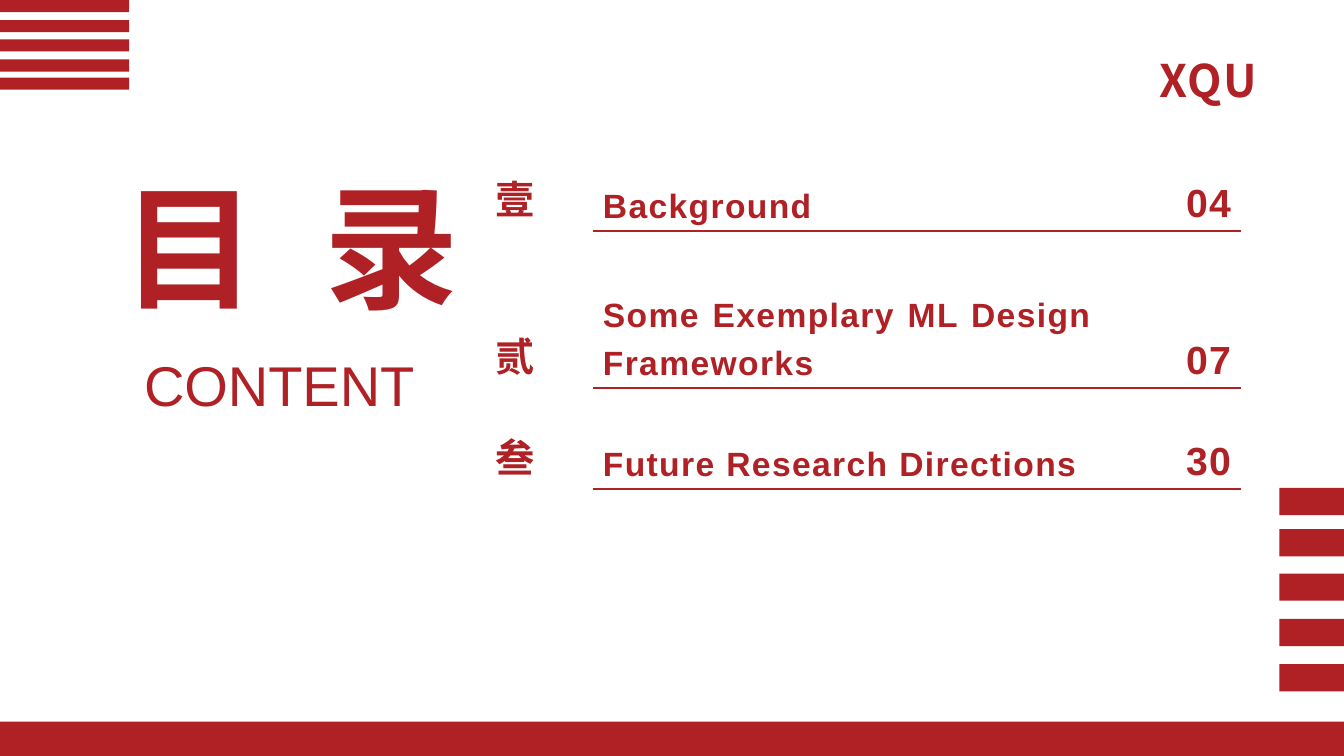
from lxml.etree import SubElement
from pptx import Presentation
from pptx.dml.color import RGBColor
from pptx.enum.shapes import MSO_SHAPE
from pptx.enum.text import MSO_ANCHOR, PP_ALIGN
from pptx.oxml.ns import qn
from pptx.util import Inches, Pt

RED = "AF2125"
PLAIN_TABLE = "{2D5ABB26-0587-4C30-8999-92F81FD0307C}"
ENTRIES = [
    ("壹", "Background", "04", 1),
    ("贰", "Some Exemplary ML Design Frameworks", "07", 1.56),
    ("叁", "Future Research Directions", "30", 1),
]


def color(value):
    return RGBColor.from_string(value)


def write(tf, text, size, bold=True, font="Arial", align=PP_ALIGN.LEFT,
          line_spacing=None, tracking=0):
    p = tf.paragraphs[0]
    p.alignment = align
    if line_spacing:
        p.line_spacing = line_spacing
    p.font.size = Pt(size)
    p.font.bold = bold
    p.font.name = font
    p.font.color.rgb = color(RED)
    r = p.add_run()
    r.text = text
    rPr = r._r.get_or_add_rPr()
    if tracking:
        rPr.set("spc", str(round(tracking * 100)))
    SubElement(rPr, qn("a:ea"), typeface="Noto Sans CJK SC")


def add_text(s, box, text, size, wrap=False, **style):
    tf = s.shapes.add_textbox(*map(Inches, box)).text_frame
    tf.word_wrap = wrap
    write(tf, text, size, **style)
    return tf


def add_bar(s, left, top, width, height):
    sp = s.shapes.add_shape(MSO_SHAPE.RECTANGLE, *map(Inches, (left, top, width, height)))
    sp.shadow.inherit = False
    sp.fill.solid()
    sp.fill.fore_color.rgb = color(RED)
    sp.line.fill.background()


def add_stripes(s, left, top, width, height, offsets):
    for offset in offsets:
        add_bar(s, left, top + offset, width, height)


def add_heading(s, left, top):
    tf = add_text(s, (left, top, 3.69, 1.72), "目 录", 96, tracking=13.3)
    tf.margin_right = 0
    add_text(s, (left + 0.21, top + 1.85, 3.35, 0.77), "CONTENT", 40,
             wrap=True, bold=False, align=PP_ALIGN.JUSTIFY)


def underline(cell):
    ln = SubElement(cell._tc.get_or_add_tcPr(), qn("a:lnB"), w=str(Pt(1.5)))
    fill = SubElement(ln, qn("a:solidFill"))
    SubElement(fill, qn("a:srgbClr"), val=RED)


def add_contents(s, left, top, width, height):
    table = s.shapes.add_table(len(ENTRIES), 3, *map(Inches, (left, top, width, height))).table
    table.first_row = table.horz_banding = False
    table._tbl.tblPr.find(qn("a:tableStyleId")).text = PLAIN_TABLE
    for column, column_width in zip(table.columns, (1.07, 5.05, 1.38)):
        column.width = Inches(column_width)
    styles = [
        dict(size=28, align=PP_ALIGN.JUSTIFY, line_spacing=1.5),
        dict(size=24, align=PP_ALIGN.JUSTIFY, line_spacing=1.3),
        dict(size=28, align=PP_ALIGN.RIGHT),
    ]
    for row, (*texts, row_height) in zip(table.rows, ENTRIES):
        row.height = Inches(row_height)
        for i, (cell, text, style) in enumerate(zip(row.cells, texts, styles)):
            cell.vertical_anchor = MSO_ANCHOR.BOTTOM
            if i:
                underline(cell)
            cell.fill.background()
            write(cell.text_frame, text, tracking=1, **style)


def build_contents_slide(prs):
    s = prs.slides.add_slide(prs.slide_layouts[6])
    add_text(s, (11.4, 0.31, 1.26, 0.73), "XQU", 32, font="Noto Sans CJK SC",
             align=PP_ALIGN.JUSTIFY, line_spacing=1.3, tracking=1)
    add_heading(s, 1.12, 1.58)
    add_contents(s, 4.81, 1.29, 7.49, 3.55)
    add_bar(s, 0, 7.16, 13.33, 0.34)
    add_stripes(s, 0, 0, 1.28, 0.12, (0, 0.2, 0.39, 0.59, 0.77))
    add_stripes(s, 12.69, 4.84, 0.64, 0.27, (0, 0.41, 0.85, 1.3, 1.75))


def main():
    prs = Presentation()
    prs.slide_width = Inches(13.33)
    prs.slide_height = Inches(7.5)
    build_contents_slide(prs)
    prs.save("out.pptx")


if __name__ == "__main__":
    main()
